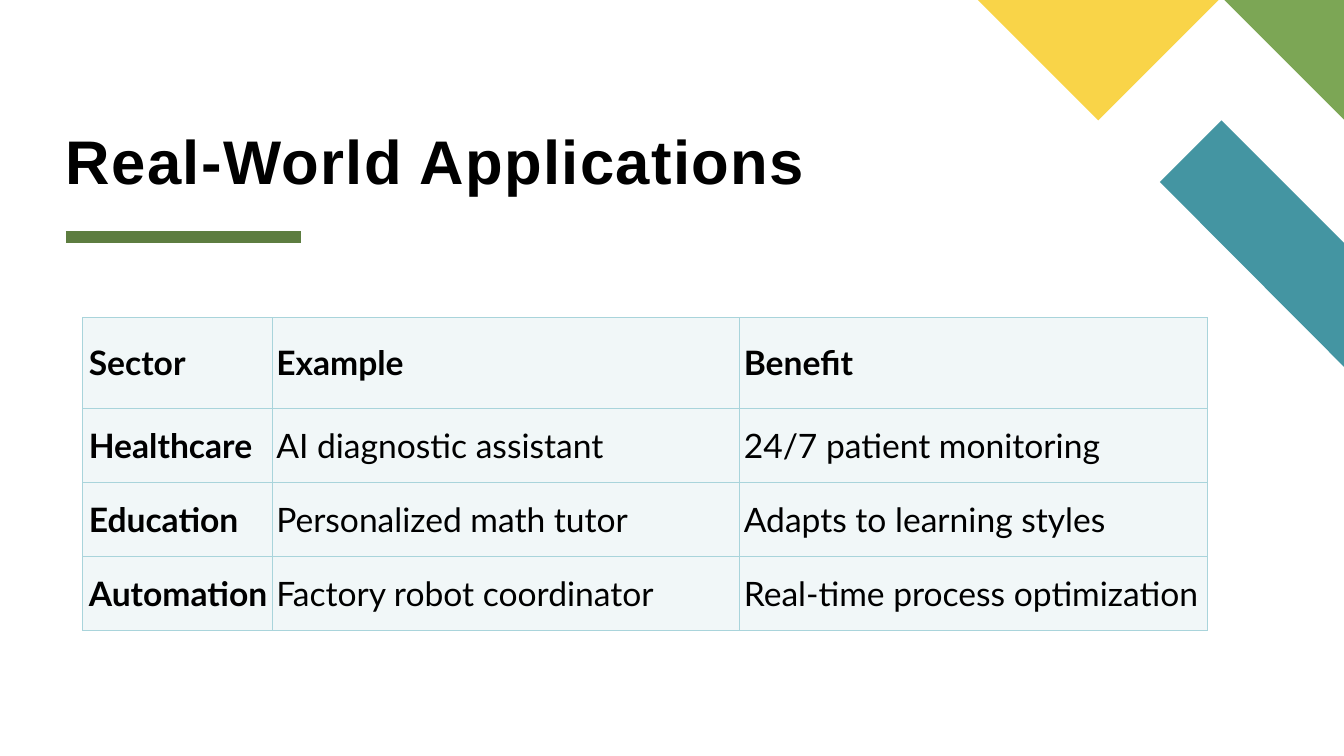
from lxml import etree
from pptx import Presentation
from pptx.dml.color import RGBColor
from pptx.enum import shapes, text
from pptx.oxml import parse_xml
from pptx.oxml.ns import nsdecls, qn
from pptx.util import Pt

TITLE = "Real-World Applications"
APPLICATIONS = [
    ("Sector", "Example", "Benefit"),
    ("Healthcare", "AI diagnostic assistant", "24/7 patient monitoring"),
    ("Education", "Personalized math tutor", "Adapts to learning styles"),
    ("Automation", "Factory robot coordinator", "Real-time process optimization"),
]
COLORS = {
    "teal": "4495A2", "green": "7CA655", "yellow": "F9D448", "rule": "5D7D40",
    "text": "000000", "cell": "F1F7F8", "border": "A9D4DB",
}
CORNER_ART = [
    ("teal", [(960, 262), (960, 173.5), (872.5, 86), (828.5, 130)]),
    ("green", [(960, 85.5), (960, 0), (874.5, 0)]),
    ("yellow", [(698.5, 0), (784.5, 86), (870.5, 0)]),
]
MARGIN = 47
TABLE_LEFT, TABLE_TOP = 59.2, 227
COLUMN_WIDTHS = [135.2, 334, 334]
ROW_HEIGHTS = [64.6, 53, 53, 53]
CELL_INSET, FIRST_INSET = 3, 4.3


def rgb(name):
    return RGBColor.from_string(COLORS[name])


def add_corner_art(slide):
    for color, points in CORNER_ART:
        corners = [(Pt(x), Pt(y)) for x, y in points]
        builder = slide.shapes.build_freeform(*corners[0])
        builder.add_line_segments(corners[1:], close=True)
        piece = builder.convert_to_shape()
        piece.shadow.inherit = False
        piece.fill.solid()
        piece.fill.fore_color.rgb = rgb(color)
        piece.line.fill.background()


def add_title(slide):
    title = slide.shapes.title
    title.left, title.top, title.width, title.height = Pt(MARGIN), Pt(16), Pt(864), Pt(124)
    frame = title.text_frame
    frame.text = TITLE
    frame.word_wrap = True
    frame.auto_size = text.MSO_AUTO_SIZE.NONE
    frame.vertical_anchor = text.MSO_ANCHOR.BOTTOM
    frame.margin_left = frame.margin_top = frame.margin_right = frame.margin_bottom = 0
    line = frame.paragraphs[0]
    line.alignment = text.PP_ALIGN.LEFT
    line.line_spacing = 0.8
    line.font.name, line.font.size, line.font.bold = "Arial", Pt(44), True
    line.font.color.rgb = rgb("text")
    line.runs[0].font._element.set("spc", "100")  # letter spacing of 1 pt


def add_title_rule(slide):
    rule = slide.shapes.add_connector(
        shapes.MSO_CONNECTOR.STRAIGHT, Pt(MARGIN), Pt(169.3), Pt(214.7), Pt(169.3))
    rule.line.color.rgb = rgb("rule")
    rule.line.width = Pt(8)
    etree.SubElement(rule._element.spPr, qn("a:effectLst"))


def add_borders(cell):
    properties = cell._tc.get_or_add_tcPr()
    for side in ("lnL", "lnR", "lnT", "lnB"):
        properties.append(parse_xml(
            f'<a:{side} {nsdecls("a")} w="{Pt(1)}"><a:solidFill>'
            f'<a:srgbClr val="{COLORS["border"]}"/></a:solidFill></a:{side}>'))


def format_cell(cell, wording, bold, left_inset):
    add_borders(cell)
    cell.fill.solid()
    cell.fill.fore_color.rgb = rgb("cell")
    cell.vertical_anchor = text.MSO_ANCHOR.MIDDLE
    cell.margin_left = Pt(left_inset)
    cell.margin_top = cell.margin_right = cell.margin_bottom = Pt(CELL_INSET)
    cell.text = wording
    font = cell.text_frame.paragraphs[0].font
    font.name, font.size, font.bold = "Lato", Pt(24), bold
    font.color.rgb = rgb("text")


def add_applications(slide):
    table = slide.shapes.add_table(
        len(ROW_HEIGHTS), len(COLUMN_WIDTHS), Pt(TABLE_LEFT), Pt(TABLE_TOP),
        Pt(sum(COLUMN_WIDTHS)), Pt(sum(ROW_HEIGHTS))).table
    table.first_row = table.horz_banding = False
    for column, width in zip(table.columns, COLUMN_WIDTHS):
        column.width = Pt(width)
    for row, height in zip(table.rows, ROW_HEIGHTS):
        row.height = Pt(height)
    for r, entries in enumerate(APPLICATIONS):
        for c, wording in enumerate(entries):
            format_cell(table.cell(r, c), wording, bold=r == 0 or c == 0,
                        left_inset=CELL_INSET if c else FIRST_INSET)


def main():
    deck = Presentation()
    deck.slide_width, deck.slide_height = Pt(960), Pt(540)
    slide = deck.slides.add_slide(deck.slide_layouts.get_by_name("Title Only"))
    add_corner_art(slide)
    add_title_rule(slide)
    add_title(slide)
    add_applications(slide)
    deck.save("out.pptx")


if __name__ == "__main__":
    main()
